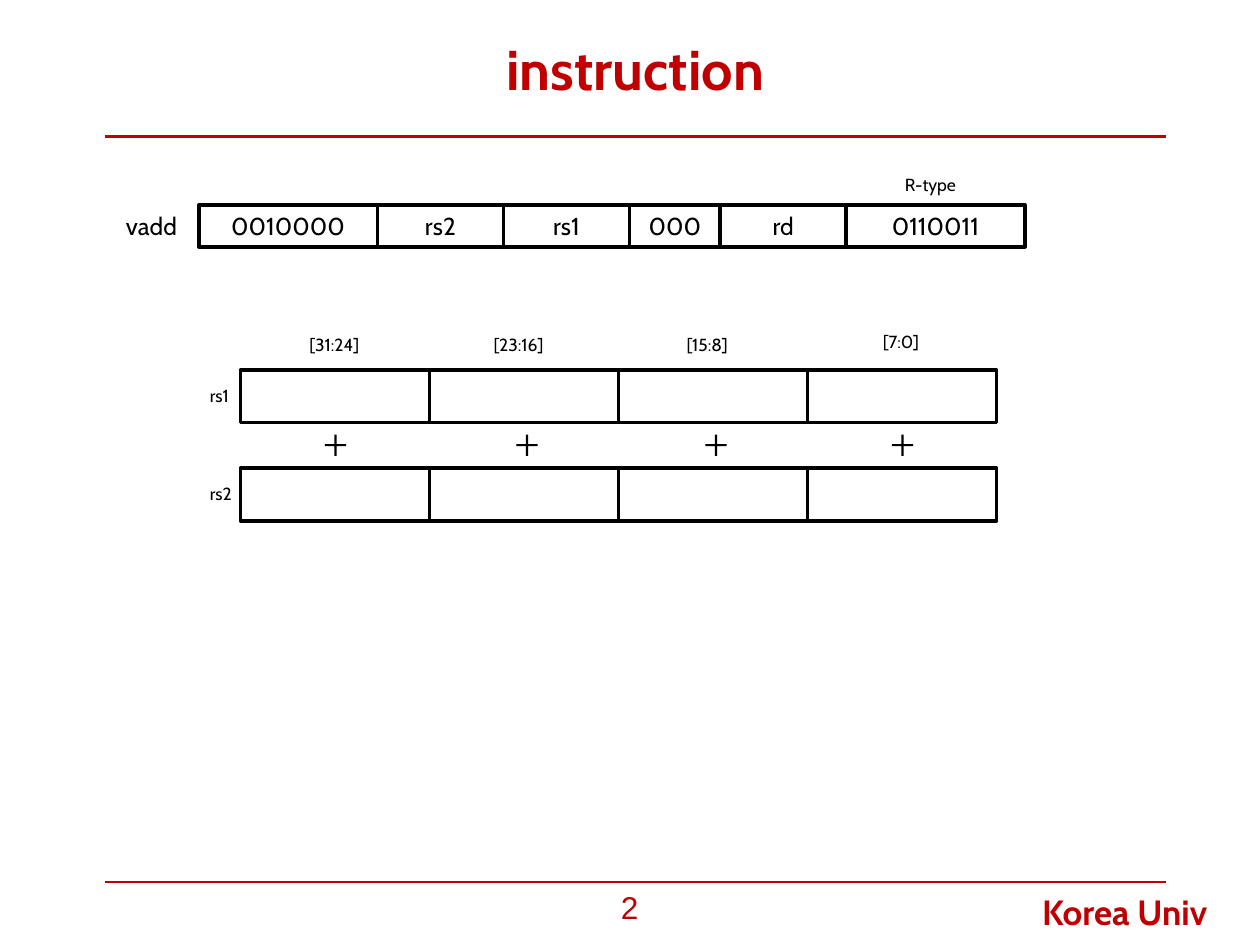
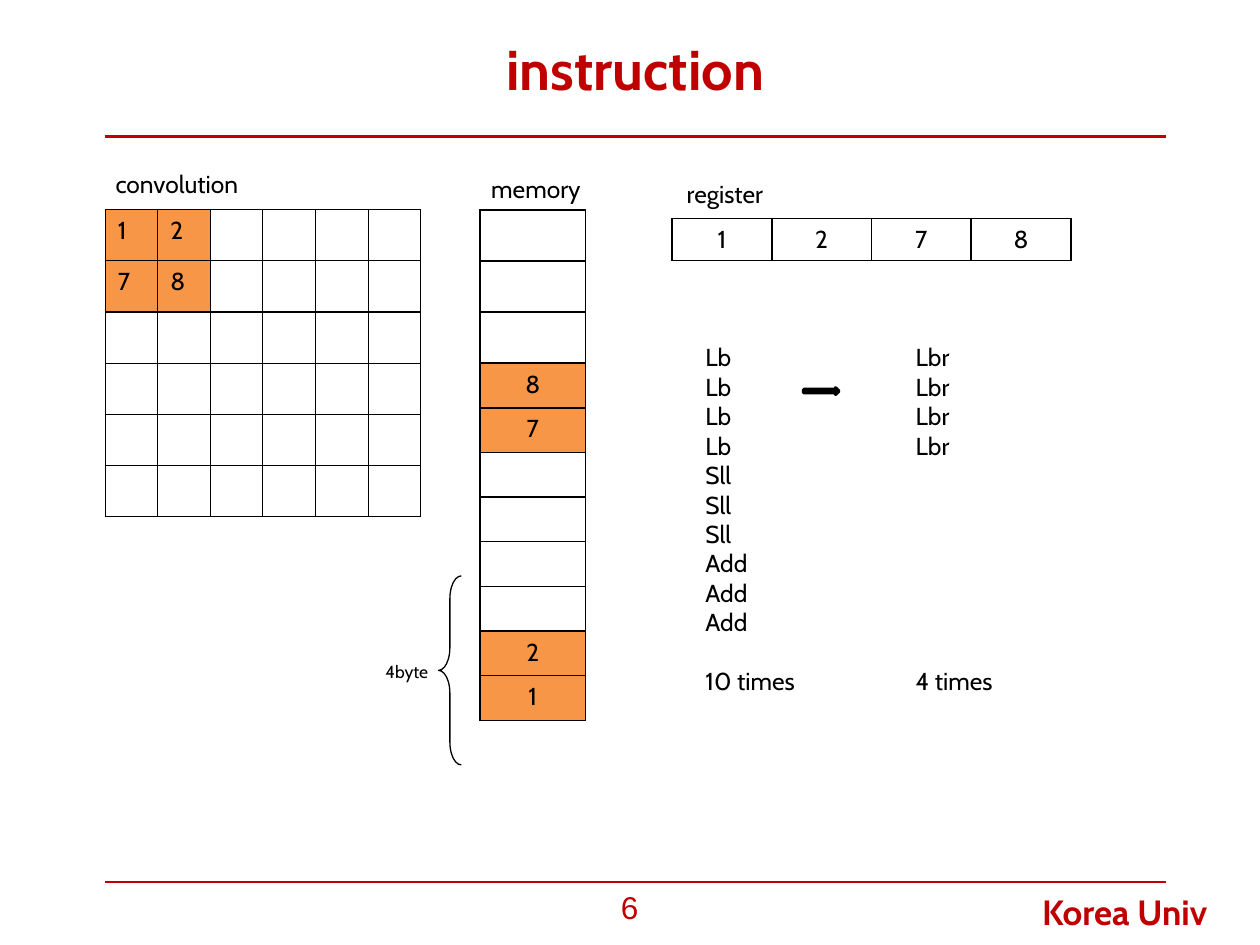
from dataclasses import dataclass
from itertools import accumulate

from lxml import etree
from pptx import Presentation
from pptx import util as u
from pptx.dml.color import RGBColor
from pptx.enum import shapes, text
from pptx.oxml.ns import qn

Cm, Pt = u.Cm, u.Pt
LEFT, CENTER = text.PP_ALIGN.LEFT, text.PP_ALIGN.CENTER
TOP, MIDDLE = text.MSO_ANCHOR.TOP, text.MSO_ANCHOR.MIDDLE
SHAPE = shapes.MSO_SHAPE


@dataclass(frozen=True)
class Theme:
    crimson: str = "C00000"
    black: str = "000000"
    white: str = "FFFFFF"
    orange: str = "F79646"
    font: str = "Cabin"
    number_font: str = "Arial"
    title: int = 32
    footer: int = 20
    number: int = 18
    body: int = 14
    small: int = 10


THEME = Theme()


def apply(target, values):
    for name, value in values.items():
        setattr(target, name, value)


class Deck:
    """Holds the theme, the presentation and the current slide."""

    def __init__(self, theme):
        self.theme = theme
        self.presentation = Presentation()
        apply(self.presentation, {"slide_width": Cm(25.4), "slide_height": Cm(19.05)})
        self.slide = None

    # Slide frame: title, rules and footer
    def add_slide(self, title, number):
        theme = self.theme
        layout = self.presentation.slide_layouts[6]
        self.slide = self.presentation.slides.add_slide(layout)
        for y in (2.75, 17.78):
            self.rule(2.12, 23.5, y)
        red = {"color": theme.crimson}
        self.label("Korea Univ", 20.76, 17.82, 4.42, 1.12, size=theme.footer, bold=True, **red)
        self.label(title, 2.12, 0.21, 21.38, 2.33, size=theme.title, bold=True,
                   align=CENTER, anchor=MIDDLE, **red)
        self.label(number, 10.47, 17.78, 4.45, 1.27, size=theme.number,
                   font=theme.number_font, align=CENTER, **red)

    def rule(self, start, end, y):
        line = self.slide.shapes.add_connector(
            shapes.MSO_CONNECTOR.STRAIGHT, Cm(start), Cm(y), Cm(end), Cm(y))
        line.line.color.rgb = RGBColor.from_string(self.theme.crimson)
        line.line.width = Pt(1.5)
        etree.SubElement(line._element.spPr, qn("a:effectLst"))

    # Text
    def add_words(self, paragraph, words, size=None, color=None, font=None, bold=False,
                  align=LEFT):
        theme = self.theme
        paragraph.alignment = align
        run = paragraph.add_run()
        run.text = words
        apply(run.font, {"name": font or theme.font, "size": Pt(size or theme.body), "bold": bold})
        run.font.color.rgb = RGBColor.from_string(color or theme.black)

    def label(self, words, left, top, width, height, anchor=TOP, **style):
        box = self.slide.shapes.add_textbox(Cm(left), Cm(top), Cm(width), Cm(height))
        frame = box.text_frame
        apply(frame, {"word_wrap": True, "vertical_anchor": anchor})
        for index, line in enumerate(words.split("\n")):
            paragraph = frame.add_paragraph() if index else frame.paragraphs[0]
            self.add_words(paragraph, line, **style)
        return frame

    def small_label(self, words, left, top, width=1.73):
        self.label(words, left, top, width, 0.6, size=self.theme.small)

    # Shapes
    def shape(self, kind, left, top, width, height, fill=None, line=None, adjust=()):
        shape = self.slide.shapes.add_shape(kind, Cm(left), Cm(top), Cm(width), Cm(height))
        shape.shadow.inherit = False
        for index, value in enumerate(adjust):
            shape.adjustments[index] = value
        self.paint(shape.fill, fill)
        if line:
            shape.line.color.rgb = RGBColor.from_string(self.theme.black)
            shape.line.width = Pt(line)
        else:
            shape.line.fill.background()
        return shape

    def paint(self, fill, color):
        if color:
            fill.solid()
            fill.fore_color.rgb = RGBColor.from_string(color)
        else:
            fill.background()

    def boxes(self, left, top, widths, height, words=()):
        """A row of touching boxes, with centred words if there are any."""
        lefts = accumulate(widths[:-1], initial=left)
        for index, (x, width) in enumerate(zip(lefts, widths)):
            box = self.shape(SHAPE.RECTANGLE, x, top, width, height, self.theme.white, 2)
            if words:
                box.text_frame.vertical_anchor = MIDDLE
                self.add_words(box.text_frame.paragraphs[0], words[index], align=CENTER)

    # Tables: filled cells are listed, the rest stay empty
    def table(self, left, top, rows, columns, width, height, values,
              fill=None, border=1.0, align=CENTER):
        frame = self.slide.shapes.add_table(rows, columns, Cm(left), Cm(top),
                                            Cm(width * columns), Cm(height * rows))
        table = frame.table
        apply(table, {"first_row": False, "horz_banding": False})
        for column in table.columns:
            column.width = Cm(width)
        for row_index, row in enumerate(table.rows):
            row.height = Cm(height)
            for column_index, cell in enumerate(row.cells):
                value = values.get((row_index, column_index))
                self.border(cell, border)
                self.paint(cell.fill, fill if value else None)
                paragraph = cell.text_frame.paragraphs[0]
                if value:
                    self.add_words(paragraph, value, align=align)
                else:
                    etree.SubElement(paragraph._p, qn("a:endParaRPr"),
                                     sz=str(self.theme.body * 100))

    def border(self, cell, width):
        properties = cell._tc.get_or_add_tcPr()
        for side in "LRTB":
            line = etree.SubElement(properties, qn(f"a:ln{side}"), w=str(Pt(width)))
            fill = etree.SubElement(line, qn("a:solidFill"))
            etree.SubElement(fill, qn("a:srgbClr"), val=self.theme.black)


def add_vadd_slide(deck):
    deck.add_slide("instruction", "2")

    # Instruction format
    deck.boxes(4.01, 4.13, [3.6, 2.54, 2.54, 1.83, 2.54, 3.6], 0.85,
               ["0010000", "rs2", "rs1", "000", "rd", "0110011"])
    deck.small_label("R-type", 17.99, 3.38)
    deck.label("vadd", 2.29, 4.12, 1.73, 0.85)

    # Source registers, four bytes each
    for name, top in (("rs1", 7.46), ("rs2", 9.44)):
        deck.boxes(4.85, top, [3.81] * 4, 1.06)
        deck.small_label(name, 3.98, top + 0.18)

    # Bit ranges and additions
    lanes = (("[31:24]", 5.99, 6.6, 6.55), ("[23:16]", 9.7, 6.6, 10.41),
             ("[15:8]", 13.59, 6.6, 14.22), ("[7:0]", 17.55, 6.55, 17.98))
    for bits, left, top, plus_left in lanes:
        deck.small_label(bits, left, top)
        deck.shape(SHAPE.CROSS, plus_left, 8.76, 0.43, 0.43, THEME.black, adjust=[0.452])


def add_convolution_slide(deck):
    deck.add_slide("instruction", "6")

    # Convolution input
    deck.label("convolution", 2.08, 3.28, 3.23, 0.84)
    window = {(0, 0): "1", (0, 1): "2", (1, 0): "7", (1, 1): "8"}
    deck.table(2.12, 4.23, 6, 6, 1.06, 1.03, window, THEME.orange, 0.75, LEFT)

    # Memory: free words above, stored bytes below
    deck.label("memory", 9.19, 3.38, 3.23, 0.84, align=CENTER)
    stored = {(0, 0): "8", (1, 0): "7", (6, 0): "2", (7, 0): "1"}
    deck.table(9.68, 7.32, 8, 1, 2.12, 0.9, stored, THEME.orange)
    deck.table(9.68, 4.23, 3, 1, 2.12, 1.03, {})
    deck.small_label("4byte", 7.52, 13.21, 1.45)
    deck.shape(SHAPE.LEFT_BRACE, 8.84, 11.61, 0.46, 3.81, line=0.75, adjust=[0.994, 0.5])

    # Register
    deck.label("register", 13, 3.48, 3.23, 0.84, align=CENTER)
    loaded = {(0, index): value for index, value in enumerate("1278")}
    deck.table(13.55, 4.4, 1, 4, 2.01, 0.76, loaded)

    # Instruction counts before and after, totals on one level
    before = ["Lb"] * 4 + ["Sll"] * 3 + ["Add"] * 3
    after = ["Lbr"] * 4
    for steps, left, width, height in ((before, 13.97, 2.97, 8.69), (after, 18.21, 4.01, 7.62)):
        lines = steps + [f"{len(steps)} times"]
        frame = deck.label("\n".join(lines), left, 6.78, width, height)
        frame.paragraphs[-1].space_before = Pt(16.8 * (11 - len(steps)))
    deck.shape(SHAPE.RIGHT_ARROW, 16.2, 7.82, 0.71, 0.13, THEME.black, 2)


def main():
    deck = Deck(THEME)
    add_vadd_slide(deck)
    add_convolution_slide(deck)
    deck.presentation.save("out.pptx")


if __name__ == "__main__":
    main()
